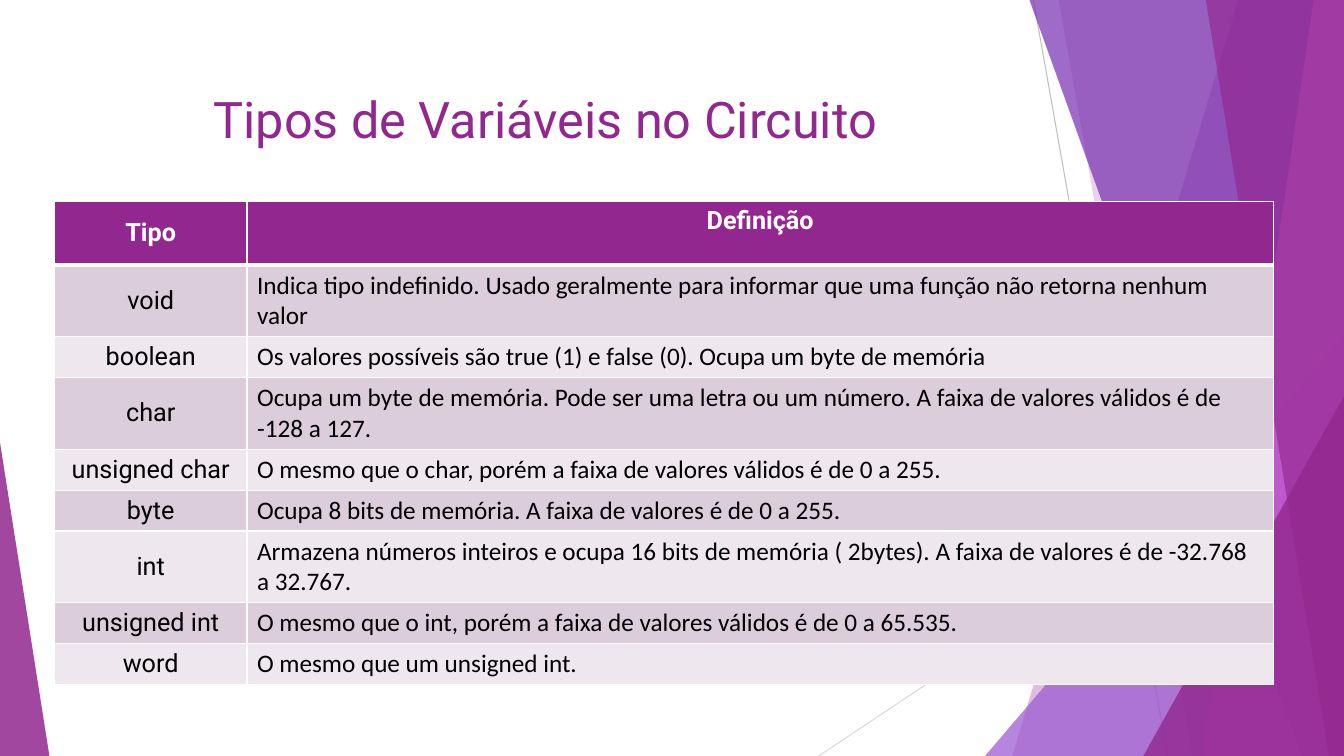
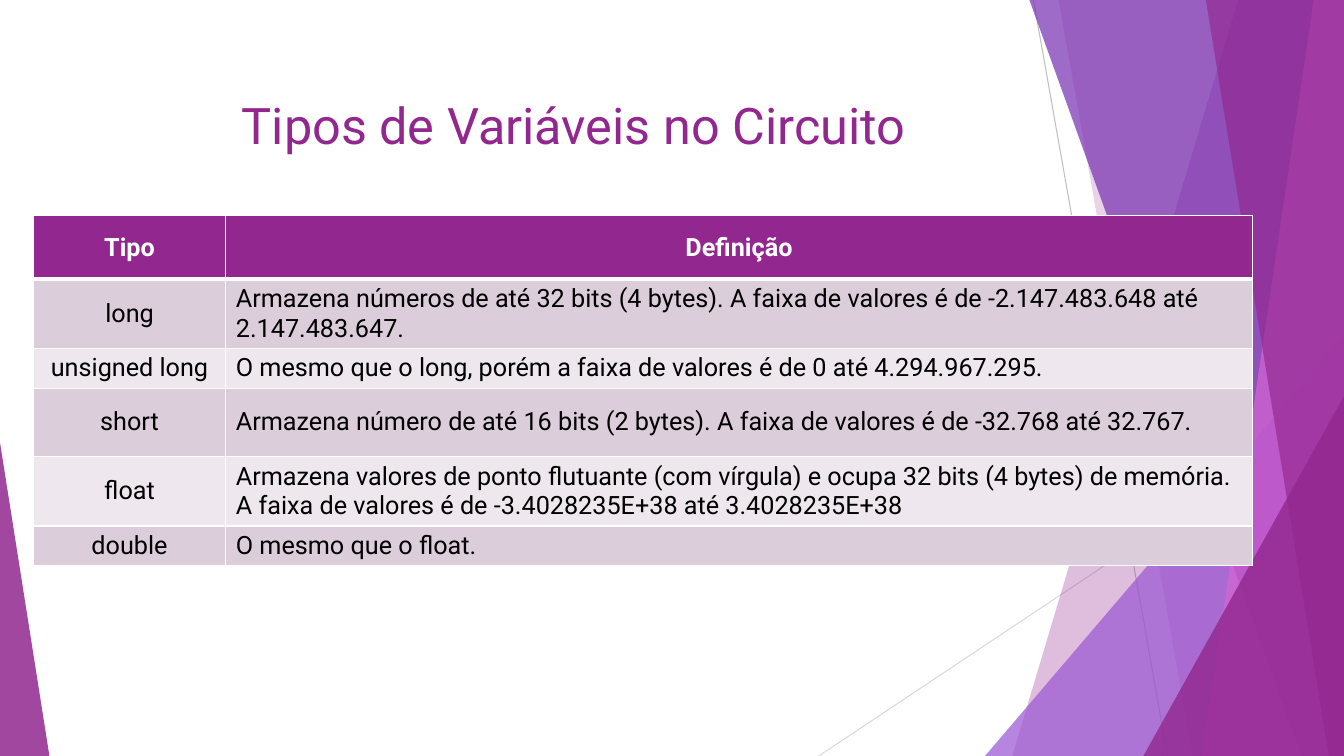
from pptx import Presentation
from pptx.dml.color import RGBColor
from pptx.enum.shapes import MSO_CONNECTOR as Connector, MSO_SHAPE as Shape, PP_PLACEHOLDER as Placeholder
from pptx.enum.text import MSO_ANCHOR as Anchor, MSO_AUTO_SIZE as AutoSize, PP_ALIGN as Align
from pptx.oxml.ns import qn
from pptx.util import Pt
from lxml.etree import SubElement

PX = 9144
WIDTH, HEIGHT = 1333, 750
COLORS = {
    "purple": "92278F",
    "lilac": "9B57D3",
    "violet": "762EB1",
    "pink": "D665D3",
    "gray": "BFBFBF",
    "light_gray": "D9D9D9",
    "odd_row": "DCCDDB",
    "even_row": "EEE8EE",
    "white": "FFFFFF",
    "black": "000000",
}
TITLE = "Tipos de Variáveis no Circuito"
HEADERS = ("Tipo", "Definição")
COLUMNS = (191, 1018)
HEADER_ROW, TALL_ROW, ROW = 63, 68, 39

BASIC_TYPES = [
    ("void", "Indica tipo indefinido. Usado geralmente para informar que uma função não retorna nenhum valor", TALL_ROW),
    ("boolean", "Os valores possíveis são true (1) e false (0). Ocupa um byte de memória", ROW),
    ("char", "Ocupa um byte de memória. Pode ser uma letra ou um número. A faixa de valores válidos é de -128 a 127.", TALL_ROW),
    ("unsigned char", "O mesmo que o char, porém a faixa de valores válidos é de 0 a 255.", ROW),
    ("byte", "Ocupa 8 bits de memória. A faixa de valores é de 0 a 255.", ROW),
    ("int", "Armazena números inteiros e ocupa 16 bits de memória ( 2bytes). A faixa de valores é de -32.768 a 32.767.", TALL_ROW),
    ("unsigned int", "O mesmo que o int, porém a faixa de valores válidos é de 0 a 65.535.", ROW),
    ("word", "O mesmo que um unsigned int.", ROW),
]
LARGE_TYPES = [
    ("long", "Armazena números de até 32 bits (4 bytes). A faixa de valores é de -2.147.483.648 até 2.147.483.647.", TALL_ROW),
    ("unsigned long", "O mesmo que o long, porém a faixa de valores é de 0 até 4.294.967.295.", ROW),
    ("short", "Armazena número de até 16 bits (2 bytes). A faixa de valores é de -32.768 até 32.767.", TALL_ROW),
    ("float", "Armazena valores de ponto flutuante (com vírgula) e ocupa 32 bits (4 bytes) de memória. "
              "A faixa de valores é de -3.4028235E+38 até 3.4028235E+38", TALL_ROW),
    ("double", "O mesmo que o float.", ROW),
]


def px(*lengths):
    return [length * PX for length in lengths]


def rgb(color):
    return RGBColor.from_string(COLORS[color])


def write_text(frame, text, size=18, font="Roboto", color="black", bold=False, align=Align.LEFT):
    paragraph = frame.paragraphs[0]
    paragraph.alignment = align
    run = paragraph.add_run()
    run.text = text
    run.font.size = Pt(size)
    run.font.name = font
    run.font.bold = bold
    run.font.color.rgb = rgb(color)


def add_line(slide, start, end, color):
    line = slide.shapes.add_connector(Connector.STRAIGHT, *px(*start, *end))
    line.line.color.rgb = rgb(color)
    line.line.width = Pt(0.75)
    SubElement(line.element.spPr, qn("a:effectLst"))
    return line


def paint(shape, color, opacity):
    shape.shadow.inherit = False
    shape.fill.solid()
    shape.fill.fore_color.rgb = rgb(color)
    shape.line.fill.background()
    fill_color = next(shape.element.spPr.iter(qn("a:srgbClr")))
    SubElement(fill_color, qn("a:alpha"), val=str(opacity * 1000))
    return shape


def add_band(slide, top_x, bottom_x, color, opacity):
    builder = slide.shapes.build_freeform(top_x, 0, scale=PX)
    builder.add_line_segments([(WIDTH, 0), (WIDTH, HEIGHT), (bottom_x, HEIGHT)], close=True)
    return paint(builder.convert_to_shape(), color, opacity)


def add_corner(slide, left, top, width, apex, color, opacity):
    shape = slide.shapes.add_shape(Shape.ISOSCELES_TRIANGLE, *px(left, top, width, HEIGHT - top))
    shape.adjustments[0] = apex
    return paint(shape, color, opacity)


def decorate_layout(layout, slide):
    for placeholder in list(layout.placeholders):
        if placeholder.placeholder_format.type != Placeholder.TITLE:
            layout.shapes.element.remove(placeholder.element)
    decorations = [
        add_line(slide, (1025, 0), (1158, HEIGHT), "gray"),
        add_line(slide, (WIDTH, 403), (812, HEIGHT), "light_gray"),
        add_band(slide, 1228, 1004, "purple", 30),
        add_band(slide, 1050, 1183, "purple", 20),
        add_corner(slide, 977, 333, 356, 1, "lilac", 72),
        add_band(slide, 1021, 1291, "violet", 70),
        add_band(slide, 1303, 1192, "pink", 70),
        add_band(slide, 1196, 1318, "purple", 65),
        add_corner(slide, 1134, 393, 199, 1, "purple", 80),
        add_corner(slide, 0, 439, 49, 0, "purple", 85),
    ]
    for decoration in decorations:
        layout.shapes.element.append(decoration.element)


def set_title(slide, left, top):
    title = slide.shapes.title
    title.left, title.top, title.width, title.height = px(left, top, 940, 144)
    frame = title.text_frame
    frame.auto_size = AutoSize.NONE
    frame.word_wrap = True
    frame.vertical_anchor = Anchor.TOP
    write_text(frame, TITLE, size=36, color="purple", align=Align.CENTER)


def format_cell(cell, fill, anchor, top=1, bottom=1):
    properties = cell._tc.get_or_add_tcPr()
    for side, width in (("L", 1), ("R", 1), ("T", top), ("B", bottom)):
        border = SubElement(properties, qn(f"a:ln{side}"), w=str(Pt(width)))
        SubElement(SubElement(border, qn("a:solidFill")), qn("a:srgbClr"), val=COLORS["white"])
    cell.fill.solid()
    cell.fill.fore_color.rgb = rgb(fill)
    cell.vertical_anchor = anchor


def add_type_table(slide, left, top, types, font, anchor):
    heights = [HEADER_ROW] + [height for _, _, height in types]
    table = slide.shapes.add_table(
        len(heights), len(COLUMNS), *px(left, top, sum(COLUMNS), sum(heights))).table
    table.horz_banding = False
    for column, width in zip(table.columns, COLUMNS):
        column.width = width * PX
    for row, height in zip(table.rows, heights):
        row.height = height * PX
    anchors = (Anchor.MIDDLE, anchor)
    for column, header in enumerate(HEADERS):
        cell = table.cell(0, column)
        format_cell(cell, "purple", anchors[column], bottom=3)
        write_text(cell.text_frame, header, color="white", bold=True, align=Align.CENTER)
    for row, (name, definition, _) in enumerate(types, start=1):
        fill = "odd_row" if row % 2 else "even_row"
        name_cell, definition_cell = table.cell(row, 0), table.cell(row, 1)
        for cell, cell_anchor in zip((name_cell, definition_cell), anchors):
            format_cell(cell, fill, cell_anchor, top=3 if row == 1 else 1)
        write_text(name_cell.text_frame, name, align=Align.CENTER)
        write_text(definition_cell.text_frame, definition, font=font)


def main():
    presentation = Presentation()
    presentation.slide_width, presentation.slide_height = px(WIDTH, HEIGHT)
    layout = presentation.slide_layouts.get_by_name("Title Only")
    basic_slide = presentation.slides.add_slide(layout)
    decorate_layout(layout, basic_slide)
    set_title(basic_slide, 71, 82)
    add_type_table(basic_slide, 54, 200, BASIC_TYPES, "Calibri", Anchor.TOP)
    large_slide = presentation.slides.add_slide(layout)
    set_title(large_slide, 99, 88)
    add_type_table(large_slide, 33, 214, LARGE_TYPES, "Roboto", Anchor.MIDDLE)
    presentation.save("out.pptx")


if __name__ == "__main__":
    main()
